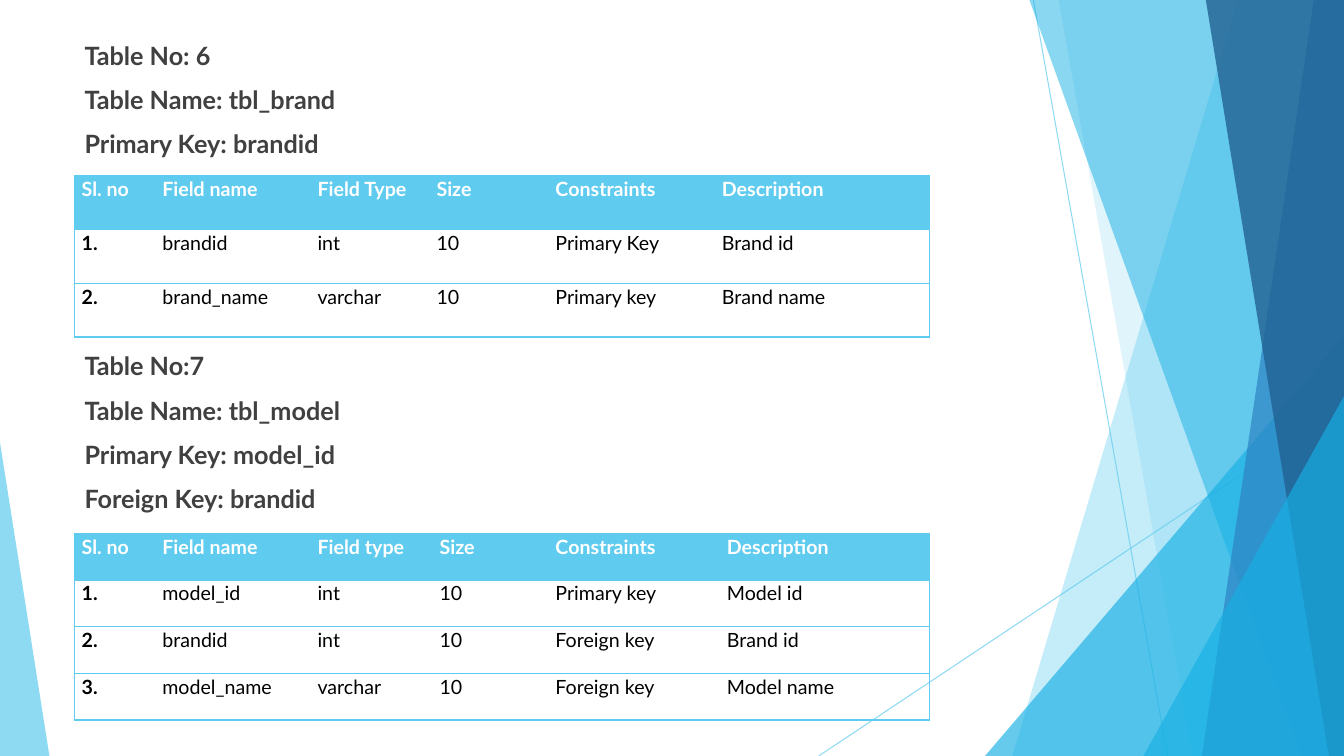
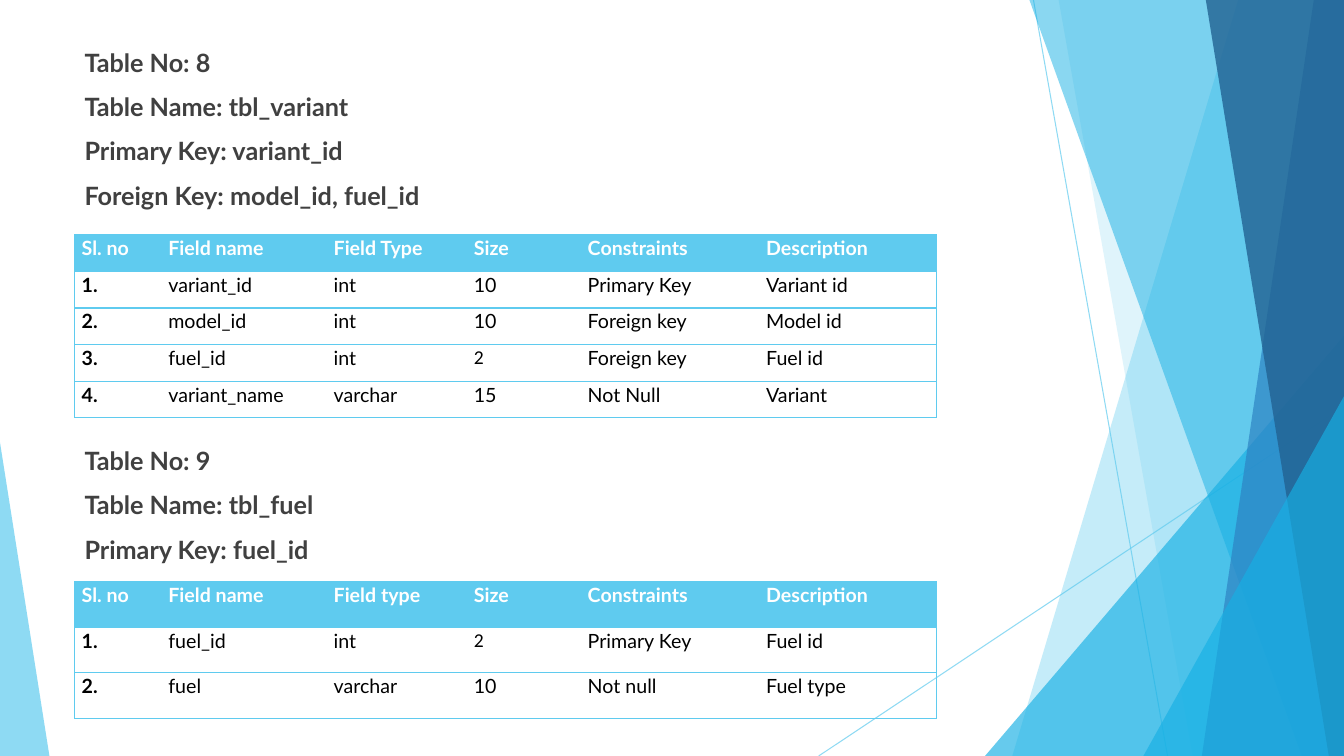
"""Build two slides that describe the database tables of a vehicle catalogue."""
from lxml import etree
from pptx import Presentation
from pptx.dml.color import RGBColor
from pptx.enum import shapes, text
from pptx.oxml import ns
from pptx.util import Inches, Pt

SKY = RGBColor(0x5F, 0xCB, 0xEF)
CYAN = RGBColor(0x17, 0xB0, 0xE4)
BLUE = RGBColor(0x2E, 0x83, 0xC3)
NAVY = RGBColor(0x22, 0x62, 0x92)
GREY = RGBColor(0x40, 0x40, 0x40)
WHITE = RGBColor(0xFF, 0xFF, 0xFF)
BLACK = RGBColor(0, 0, 0)
FONT, DIGIT_FONT = "Lato", "Calibri"
WIDTH, HEIGHT, LEFT = 13.33, 7.5, 0.74


def style_run(r, size, color, bold, font=FONT):
    r.font.name = font
    r.font.size = Pt(size)
    r.font.bold = bold
    r.font.color.rgb = color


def set_alpha(element, percent):
    color = next(element.iter(ns.qn("a:srgbClr")))
    etree.SubElement(color, ns.qn("a:alpha"), val=str(percent * 1000))


def fill_pane(sp, color, percent):
    sp.shadow.inherit = False
    sp.line.fill.background()
    sp.fill.solid()
    sp.fill.fore_color.rgb = color
    set_alpha(sp.element.spPr, percent)


def add_band(s, top_x, bottom_x, color, percent):
    corners = [(WIDTH, 0), (WIDTH, HEIGHT), (bottom_x, HEIGHT)]
    builder = s.shapes.build_freeform(Inches(top_x), 0)
    builder.add_line_segments([(Inches(x), Inches(y)) for x, y in corners])
    fill_pane(builder.convert_to_shape(), color, percent)


def add_triangle(s, left, top, right, apex, color, percent):
    sp = s.shapes.add_shape(shapes.MSO_SHAPE.ISOSCELES_TRIANGLE, Inches(left), Inches(top),
                            Inches(right - left), Inches(HEIGHT - top))
    sp.adjustments[0] = apex
    fill_pane(sp, color, percent)


def add_hairline(s, x1, y1, x2, y2):
    line = s.shapes.add_connector(shapes.MSO_CONNECTOR.STRAIGHT, Inches(x1), Inches(y1),
                                  Inches(x2), Inches(y2))
    line.line.color.rgb = SKY
    line.line.width = Pt(0.75)
    set_alpha(line.element.spPr, 70)
    etree.SubElement(line.element.spPr, ns.qn("a:effectLst"))


def add_backdrop(s):
    add_hairline(s, 10.25, 0, 11.58, HEIGHT)
    add_hairline(s, WIDTH, 4.03, 8.12, HEIGHT)
    add_band(s, 12.28, 10.04, SKY, 36)
    add_band(s, 10.5, 11.83, SKY, 20)
    add_triangle(s, 9.77, 3.33, WIDTH, 1, CYAN, 66)
    add_band(s, 10.21, 12.91, CYAN, 50)
    add_band(s, 13.03, 11.92, BLUE, 70)
    add_band(s, 11.96, 13.18, NAVY, 80)
    add_triangle(s, 11.34, 3.93, WIDTH, 1, CYAN, 66)
    add_triangle(s, 0, 4.39, 0.49, 0, SKY, 70)


def add_heading(s, top, lines):
    box = s.shapes.add_textbox(Inches(LEFT), Inches(top), Inches(8.5), Inches(0.44 * len(lines)))
    tf = box.text_frame
    tf.word_wrap = True
    tf.text = "\n".join(lines)
    for i, p in enumerate(tf.paragraphs):
        p.space_before = Pt(10 if i else 0)
        style_run(p.runs[0], 18, GREY, True)


def set_borders(cell, first, last):
    tc_pr = cell._tc.get_or_add_tcPr()
    sides = [("a:lnL", first), ("a:lnR", last), ("a:lnT", True), ("a:lnB", True)]
    for i, (tag, visible) in enumerate(sides):
        ln = etree.Element(ns.qn(tag), w=str(Pt(1)))
        if visible:
            fill = etree.SubElement(ln, ns.qn("a:solidFill"))
            etree.SubElement(fill, ns.qn("a:srgbClr"), val=str(SKY))
        else:
            etree.SubElement(ln, ns.qn("a:noFill"))
        tc_pr.insert(i, ln)


def fill_cell(cell, value, header, first, last):
    cell.margin_left = cell.margin_right = Inches(0.07)
    cell.margin_top = cell.margin_bottom = 0
    cell.vertical_anchor = text.MSO_ANCHOR.TOP
    cell.text = value
    p = cell.text_frame.paragraphs[0]
    p.line_spacing = 1.07
    style_run(p.runs[0], 14, WHITE if header else BLACK, header or first,
              DIGIT_FONT if value == "2" else FONT)
    if header:
        cell.fill.solid()
        cell.fill.fore_color.rgb = SKY
    else:
        cell.fill.background()
    set_borders(cell, first, last)


def add_field_table(s, top, row_height, widths, type_label, fields):
    header = ["Sl. no", "Field name", type_label, "Size", "Constraints", "Description"]
    rows = [header] + [[f"{n}.", *field] for n, field in enumerate(fields, 1)]
    frame = s.shapes.add_table(len(rows), len(header), Inches(LEFT), Inches(top),
                               Inches(sum(widths)), Inches(row_height * len(rows)))
    table = frame.table
    table.horz_banding = False
    for column, width in zip(table.columns, widths):
        column.width = Inches(width)
    for i, row in enumerate(rows):
        table.rows[i].height = Inches(row_height)
        for j, value in enumerate(row):
            fill_cell(table.cell(i, j), value, i == 0, j == 0, j == len(row) - 1)


def add_slide(prs):
    s = prs.slides.add_slide(prs.slide_layouts[6])
    add_backdrop(s)
    return s


def main():
    prs = Presentation()
    prs.slide_width, prs.slide_height = Inches(WIDTH), Inches(HEIGHT)

    s = add_slide(prs)
    add_heading(s, 0.35, ["Table No: 6", "Table Name: tbl_brand", "Primary Key: brandid"])
    add_field_table(s, 1.74, 0.535, [0.8, 1.54, 1.18, 1.18, 1.65, 2.13], "Field Type", [
        ("brandid", "int", "10", "Primary Key", "Brand id"),
        ("brand_name", "varchar", "10", "Primary key", "Brand name"),
    ])
    add_heading(s, 3.43, ["Table No:7", "Table Name: tbl_model", "Primary Key: model_id",
                          "Foreign Key: brandid"])
    add_field_table(s, 5.29, 0.463, [0.8, 1.54, 1.21, 1.15, 1.7, 2.08], "Field type", [
        ("model_id", "int", "10", "Primary key", "Model id"),
        ("brandid", "int", "10", "Foreign key", "Brand id"),
        ("model_name", "varchar", "10", "Foreign key", "Model name"),
    ])

    s = add_slide(prs)
    add_heading(s, 0.42, ["Table No: 8", "Table Name: tbl_variant", "Primary Key: variant_id",
                          "Foreign Key: model_id, fuel_id"])
    variant_widths = [0.86, 1.64, 1.39, 1.13, 1.77, 1.76]
    add_field_table(s, 2.33, 0.363, variant_widths, "Field Type", [
        ("variant_id", "int", "10", "Primary Key", "Variant id"),
        ("model_id", "int", "10", "Foreign key", "Model id"),
        ("fuel_id", "int", "2", "Foreign key", "Fuel id"),
        ("variant_name", "varchar", "15", "Not Null", "Variant"),
    ])
    add_heading(s, 4.37, ["Table No: 9", "Table Name: tbl_fuel", "Primary Key: fuel_id"])
    add_field_table(s, 5.77, 0.453, variant_widths, "Field type", [
        ("fuel_id", "int", "2", "Primary Key", "Fuel id"),
        ("fuel", "varchar", "10", "Not null", "Fuel type"),
    ])
    prs.save("out.pptx")


if __name__ == "__main__":
    main()
